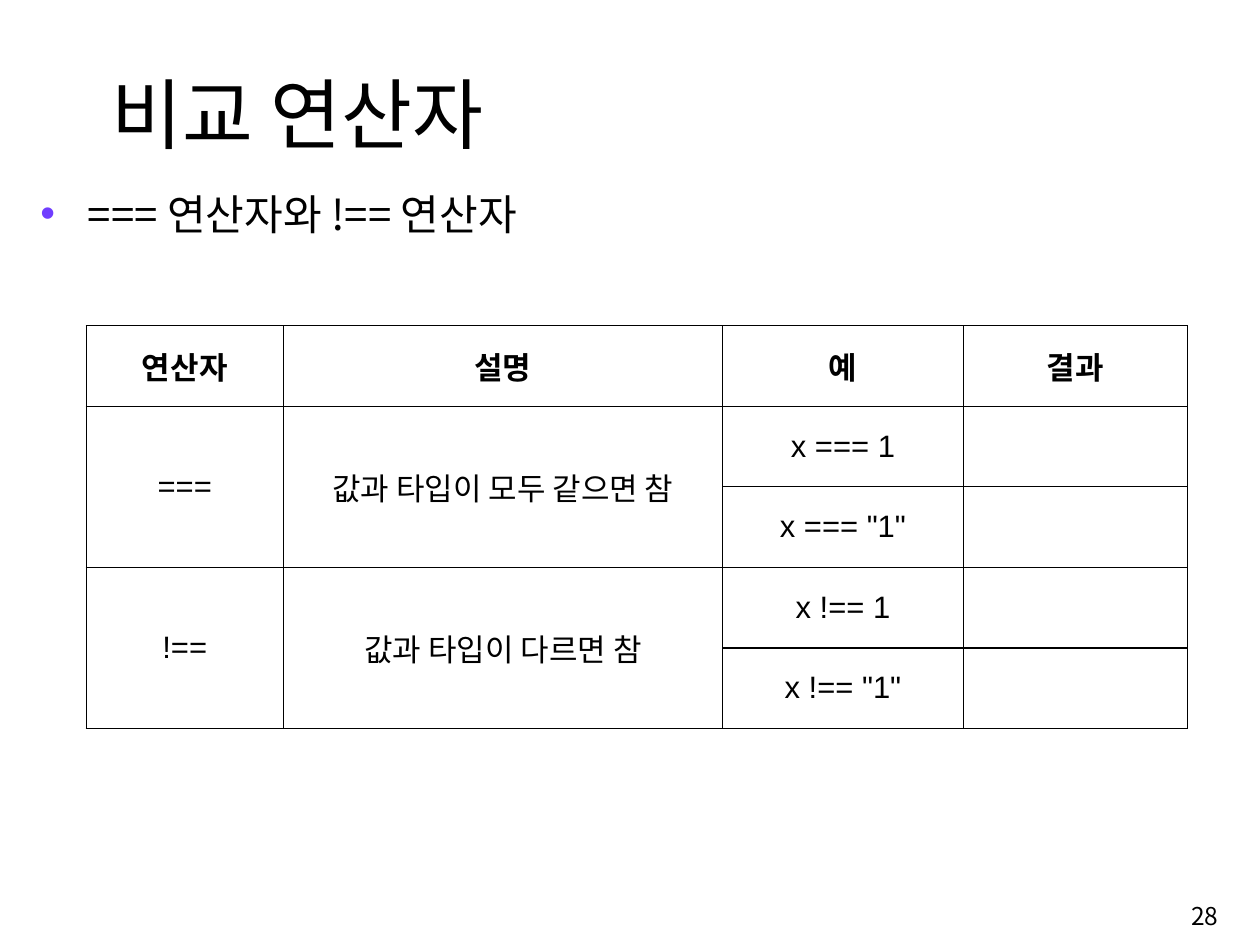
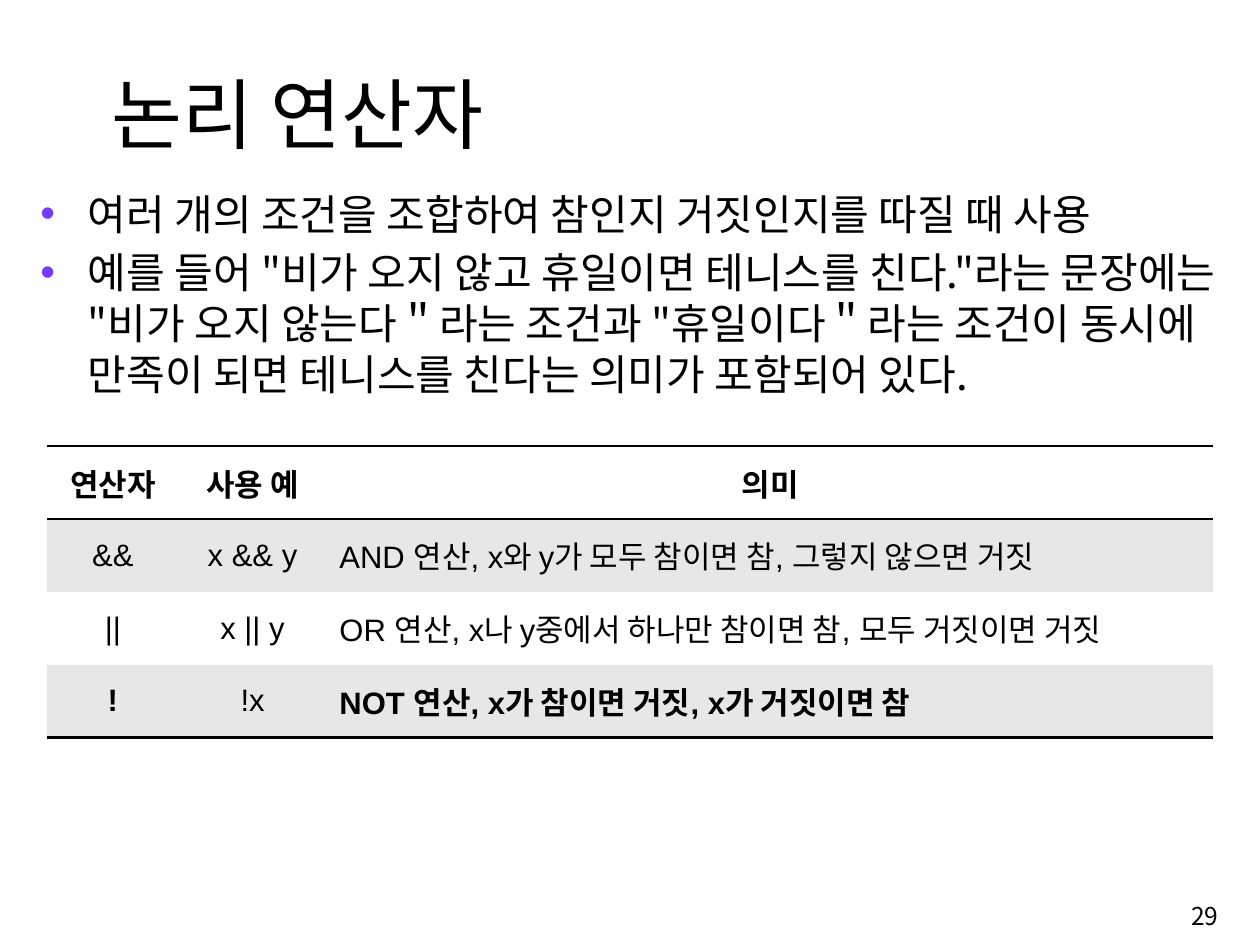
from lxml import etree
from pptx import Presentation
from pptx.dml.color import RGBColor
from pptx.enum.text import MSO_ANCHOR, PP_ALIGN
from pptx.oxml.ns import qn
from pptx.util import Cm, Pt

LEFT, CENTER, RIGHT = PP_ALIGN.LEFT, PP_ALIGN.CENTER, PP_ALIGN.RIGHT
TOP, MIDDLE, BOTTOM = MSO_ANCHOR.TOP, MSO_ANCHOR.MIDDLE, MSO_ANCHOR.BOTTOM

COLORS = {"text": "000000", "bullet": "703DFF", "plain": "FFFFFF", "band": "E7E7E7"}
KOREAN = "Noto Sans CJK KR"
LATIN = "Arial"
BLANK = 6


class Lecture:
    """Holds the shared style and the slide being filled."""

    def __init__(self):
        self.deck = Presentation()
        self.deck.slide_width, self.deck.slide_height = Cm(33), Cm(24.75)
        self.page = None

    def start_page(self, title, number):
        self.page = self.deck.slides.add_slide(self.deck.slide_layouts[BLANK])
        heading = self.box(2.67, 1.55, 26.95, 2.74, BOTTOM)
        self.span(heading.paragraphs[0], title, 57.2)
        footer = self.box(25.35, 23.24, 6.81, 1.5, MIDDLE)
        footer.paragraphs[0].alignment = RIGHT
        self.span(footer.paragraphs[0], str(number), 18.2)

    def box(self, left, top, width, height, anchor):
        frame = self.page.shapes.add_textbox(
            Cm(left), Cm(top), Cm(width), Cm(height)).text_frame
        frame.word_wrap = True
        frame.vertical_anchor = anchor
        return frame

    def span(self, para, text, size, font=KOREAN, bold=False):
        run = para.add_run()
        run.text = text
        run.font.size = Pt(size)
        run.font.bold = bold
        run.font.name = font
        run.font.color.rgb = RGBColor.from_string(COLORS["text"])
        east_asian = etree.SubElement(run.font._element, qn("a:ea"))
        east_asian.set("typeface", KOREAN)

    def bullets(self, texts):
        frame = self.box(0.81, 4.8, 31.29, 17.93, TOP)
        for index, text in enumerate(texts):
            para = frame.add_paragraph() if index else frame.paragraphs[0]
            para.space_before = Pt(6.2)
            para.line_spacing = Pt(37.5)
            properties = para._p.get_or_add_pPr()
            properties.set("marL", str(Cm(1.24)))
            properties.set("indent", str(-Cm(1.24)))
            color = etree.SubElement(properties, qn("a:buClr"))
            etree.SubElement(color, qn("a:srgbClr")).set("val", COLORS["bullet"])
            etree.SubElement(properties, qn("a:buFont")).set("typeface", LATIN)
            etree.SubElement(properties, qn("a:buChar")).set("char", "•")
            self.span(para, text, 31.2)

    def border(self, cell, side, width):
        """Draw one cell edge; a width of 0 hides it."""
        line = etree.SubElement(cell._tc.get_or_add_tcPr(), qn("a:" + side))
        line.set("w", str(Pt(width)))
        if width:
            fill = etree.SubElement(line, qn("a:solidFill"))
            etree.SubElement(fill, qn("a:srgbClr")).set("val", COLORS["text"])
        else:
            etree.SubElement(line, qn("a:noFill"))

    def table(self, left, top, widths, row_height, rows, rules, side=0,
              fills=("plain",), bold=(), left_column=None):
        """Fill a grid; rules are the line widths above each row and below the last."""
        grid = self.page.shapes.add_table(
            len(rows), len(widths), Cm(left), Cm(top),
            Cm(sum(widths)), Cm(row_height * len(rows))).table
        grid.first_row = grid.horz_banding = False
        for column, width in zip(grid.columns, widths):
            column.width = Cm(width)
        for r, row in enumerate(rows):
            grid.rows[r].height = Cm(row_height)
            for c, text in enumerate(row):
                cell = grid.cell(r, c)
                cell.vertical_anchor = MIDDLE
                cell.margin_left = cell.margin_right = Cm(0.33)
                cell.margin_top = cell.margin_bottom = Cm(0.15)
                for edge, width in (("lnL", side), ("lnR", side),
                                    ("lnT", rules[r]), ("lnB", rules[r + 1])):
                    self.border(cell, edge, width)
                cell.fill.solid()
                cell.fill.fore_color.rgb = RGBColor.from_string(
                    COLORS[fills[r % len(fills)]])
                if text:
                    para = cell.text_frame.paragraphs[0]
                    para.alignment = LEFT if r and c == left_column else CENTER
                    self.span(para, text, 23, LATIN, r == 0 or (r, c) in bold)
        return grid


def comparison_page(lecture):
    lecture.start_page("비교 연산자", 28)
    lecture.bullets(["=== 연산자와 !== 연산자"])
    rows = [
        ("연산자", "설명", "예", "결과"),
        ("===", "값과 타입이 모두 같으면 참", "x === 1", ""),
        ("", "", 'x === "1"', ""),
        ("!==", "값과 타입이 다르면 참", "x !== 1", ""),
        ("", "", 'x !== "1"', ""),
    ]
    grid = lecture.table(2.26, 8.53, (5.16, 11.51, 6.3, 5.87), 2.11, rows,
                         rules=[1] * 6, side=1)
    for first_row in (1, 3):
        for column in (0, 1):
            grid.cell(first_row, column).merge(grid.cell(first_row + 1, column))


def logic_page(lecture):
    lecture.start_page("논리 연산자", 29)
    lecture.bullets([
        "여러 개의 조건을 조합하여 참인지 거짓인지를 따질 때 사용",
        '예를 들어 "비가 오지 않고 휴일이면 테니스를 친다."라는 문장에는 '
        '"비가 오지 않는다＂라는 조건과 "휴일이다＂라는 조건이 동시에 만족이 되면 '
        '테니스를 친다는 의미가 포함되어 있다.',
    ])
    rows = [
        ("연산자", "사용 예", "의미"),
        ("&&", "x && y", "AND 연산, x와 y가 모두 참이면 참, 그렇지 않으면 거짓"),
        ("||", "x || y", "OR 연산, x나 y중에서 하나만 참이면 참, 모두 거짓이면 거짓"),
        ("!", "!x", "NOT 연산, x가 참이면 거짓, x가 거짓이면 참"),
    ]
    lecture.table(1.24, 11.68, (3.43, 3.89, 23.22), 1.91, rows,
                  rules=[2, 2, 0, 0, 2], fills=("plain", "band"),
                  bold={(3, 0), (3, 2)}, left_column=2)


def main():
    lecture = Lecture()
    comparison_page(lecture)
    logic_page(lecture)
    lecture.deck.save("out.pptx")


if __name__ == "__main__":
    main()
